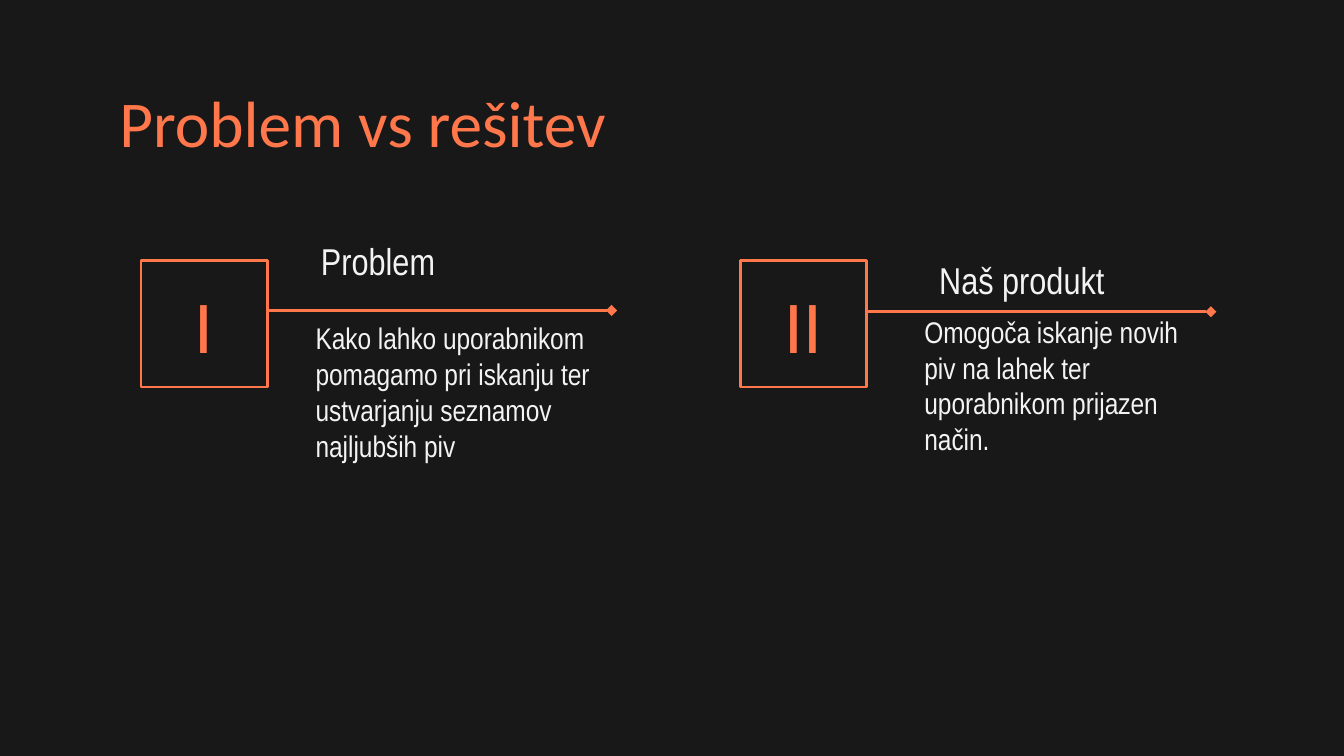
from dataclasses import dataclass

from lxml import etree
from pptx import Presentation
from pptx.dml.color import RGBColor
from pptx.enum.shapes import MSO_CONNECTOR, MSO_SHAPE
from pptx.enum.text import MSO_ANCHOR, PP_ALIGN
from pptx.oxml.ns import qn
from pptx.util import Inches, Pt

RECTANGLE = MSO_SHAPE.RECTANGLE
STRAIGHT = MSO_CONNECTOR.STRAIGHT
MIDDLE = MSO_ANCHOR.MIDDLE
LEFT, CENTER = PP_ALIGN.LEFT, PP_ALIGN.CENTER


@dataclass(frozen=True)
class Theme:
    background: RGBColor = RGBColor(0x18, 0x18, 0x18)
    accent: RGBColor = RGBColor(0xFF, 0x77, 0x4B)
    light: RGBColor = RGBColor(0xF3, 0xF3, 0xF3)
    title_font: str = "Calibri"
    body_font: str = "Arial Narrow"
    title_size: int = 35
    numeral_size: int = 40
    heading_size: int = 20
    body_size: int = 16
    line_width: float = 1.5
    inset: float = 0.1


class SlideBuilder:
    def __init__(self, slide, theme):
        self.slide = slide
        self.theme = theme
        fill = slide.background.fill
        fill.solid()
        fill.fore_color.rgb = theme.background

    def text(self, content, left, top, width, height, size, font, color, align=LEFT):
        shape = self.slide.shapes.add_textbox(
            Inches(left), Inches(top), Inches(width), Inches(height))
        frame = shape.text_frame
        frame.word_wrap = True
        frame.vertical_anchor = MIDDLE
        inset = Inches(self.theme.inset)
        frame.margin_left = frame.margin_right = inset
        frame.margin_top = frame.margin_bottom = inset
        frame.text = content
        paragraph = frame.paragraphs[0]
        paragraph.alignment = align
        for run in paragraph.runs:
            run.font.size = Pt(size)
            run.font.name = font
            run.font.color.rgb = color

    def title(self, content, left, top, width, height):
        self.text(content, left, top, width, height, self.theme.title_size,
                  self.theme.title_font, self.theme.accent)

    def numeral(self, content, left, top, width, height):
        self.text(content, left, top, width, height, self.theme.numeral_size,
                  self.theme.title_font, self.theme.accent, CENTER)

    def heading(self, content, left, top):
        self.text(content, left, top, 2.26, 0.46, self.theme.heading_size,
                  self.theme.body_font, self.theme.light)

    def body(self, content, left, top):
        self.text(content, left, top, 2.26, 0.73, self.theme.body_size,
                  self.theme.body_font, self.theme.light)

    def outline_line(self, line):
        line.color.rgb = self.theme.accent
        line.width = Pt(self.theme.line_width)

    def square(self, left, top, side):
        shape = self.slide.shapes.add_shape(
            RECTANGLE, Inches(left), Inches(top), Inches(side), Inches(side))
        shape.shadow.inherit = False
        shape.fill.background()
        self.outline_line(shape.line)

    def diamond_line(self, left, top, length):
        connector = self.slide.shapes.add_connector(
            STRAIGHT, Inches(left), Inches(top), Inches(left + length), Inches(top))
        self.outline_line(connector.line)
        properties = connector._element.spPr
        tail = etree.SubElement(properties.find(qn("a:ln")), qn("a:tailEnd"))
        tail.set("type", "diamond")
        etree.SubElement(properties, qn("a:effectLst"))


def main():
    presentation = Presentation()
    presentation.slide_width = Inches(10)
    presentation.slide_height = Inches(10 * 9 / 16)
    slide = presentation.slides.add_slide(presentation.slide_layouts[6])
    builder = SlideBuilder(slide, Theme())

    builder.title("Problem vs rešitev", 0.79, 0.59, 8.43, 0.63)

    square_top, square_side = 1.94, 0.94
    numeral_overhang = 0.1
    columns = [
        (1.05, 2.31, "I", ("Problem", 2.29, 1.71),
         ("Kako lahko uporabnikom pomagamo pri iskanju ter "
          "ustvarjanju seznamov najljubših piv", 2.25, 2.55)),
        (5.51, 2.32, "II", ("Naš produkt", 6.89, 1.85),
         ("Omogoča iskanje novih piv na lahek ter "
          "uporabnikom prijazen način.", 6.78, 2.5)),
    ]
    for left, line_top, numeral, heading, body in columns:
        builder.square(left, square_top, square_side)
        builder.numeral(numeral, left - numeral_overhang, square_top,
                        square_side + 2 * numeral_overhang, square_side)
        builder.heading(*heading)
        builder.body(*body)
        builder.diamond_line(left + square_side, line_top, 2.56)

    presentation.save("out.pptx")


if __name__ == "__main__":
    main()
